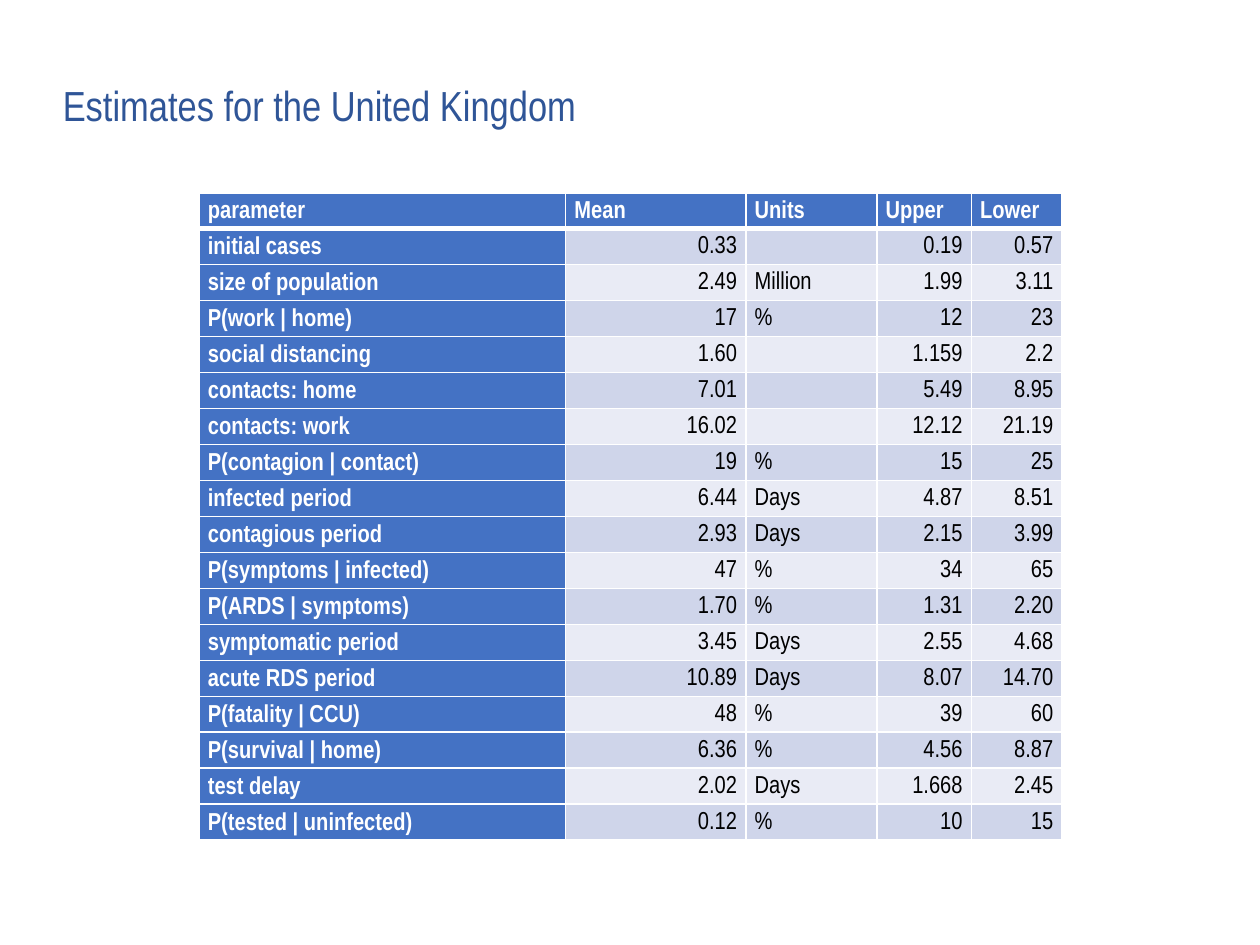
from lxml.etree import SubElement
from pptx import Presentation
from pptx.dml.color import RGBColor
from pptx.enum.text import MSO_ANCHOR, MSO_AUTO_SIZE, PP_ALIGN
from pptx.oxml.ns import qn
from pptx.util import Inches, Pt

TITLE = "Estimates for the United Kingdom"
HEADINGS = ("parameter", "Mean", "Units", "Upper", "Lower")
ESTIMATES = [
    ("initial cases", "0.33", "", "0.19", "0.57"),
    ("size of population", "2.49", "Million", "1.99", "3.11"),
    ("P(work | home)", "17", "%", "12", "23"),
    ("social distancing", "1.60", "", "1.159", "2.2"),
    ("contacts: home", "7.01", "", "5.49", "8.95"),
    ("contacts: work", "16.02", "", "12.12", "21.19"),
    ("P(contagion | contact)", "19", "%", "15", "25"),
    ("infected period", "6.44", "Days", "4.87", "8.51"),
    ("contagious period", "2.93", "Days", "2.15", "3.99"),
    ("P(symptoms | infected)", "47", "%", "34", "65"),
    ("P(ARDS | symptoms)", "1.70", "%", "1.31", "2.20"),
    ("symptomatic period", "3.45", "Days", "2.55", "4.68"),
    ("acute RDS period", "10.89", "Days", "8.07", "14.70"),
    ("P(fatality | CCU)", "48", "%", "39", "60"),
    ("P(survival | home)", "6.36", "%", "4.56", "8.87"),
    ("test delay", "2.02", "Days", "1.668", "2.45"),
    ("P(tested | uninfected)", "0.12", "%", "10", "15"),
]
ROWS = [HEADINGS] + ESTIMATES

FONT = "Arial Narrow"
TITLE_BLUE, HEAD_BLUE, WHITE, BLACK = "2F5597", "4472C4", "FFFFFF", "000000"
BANDS = ("E9EBF5", "CFD5EA")  # even rows, odd rows
COLUMN_WIDTHS = (2.91, 1.43, 1.04, 0.75, 0.72)
TABLE_LEFT, TABLE_TOP, TABLE_HEIGHT = 1.58, 1.53, 5.14
TEXT_SIZE = 14
UNITS_COLUMN = HEADINGS.index("Units")


def rgb(color):
    return RGBColor.from_string(color)


def add_text(paragraph, text, size, color, bold=False):
    run = paragraph.add_run()
    run.text = text
    run.font.name, run.font.size, run.font.bold = FONT, Pt(size), bold
    run.font.color.rgb = rgb(color)


def set_borders(cell, widths):
    """White lines, before the fill as the schema orders them."""
    properties = cell._tc.get_or_add_tcPr()
    for side, width in widths.items():
        line = SubElement(properties, qn(f"a:ln{side}"), w=str(Pt(width)))
        SubElement(SubElement(line, qn("a:solidFill")), qn("a:srgbClr"), val=WHITE)


def fill_cell(cell, text, row, column):
    is_head = row == 0 or column == 0
    set_borders(cell, {"L": 1, "R": 1, "T": 3 if row == 1 else 1, "B": 3 if row == 0 else 1})
    cell.fill.solid()
    cell.fill.fore_color.rgb = rgb(HEAD_BLUE if is_head else BANDS[row % 2])
    cell.margin_left = cell.margin_right = Inches(0.07)
    cell.margin_top = cell.margin_bottom = 0
    cell.vertical_anchor = MSO_ANCHOR.MIDDLE
    paragraph = cell.text_frame.paragraphs[0]
    if not text:  # keeps an empty cell as low as the others
        SubElement(paragraph._p, qn("a:endParaRPr"), sz=str(TEXT_SIZE * 100))
        return
    if is_head:
        paragraph.alignment, paragraph.line_spacing = PP_ALIGN.JUSTIFY, 1.15
    else:
        paragraph.alignment = PP_ALIGN.LEFT if column == UNITS_COLUMN else PP_ALIGN.RIGHT
        paragraph.line_spacing = 1.07
    add_text(paragraph, text, TEXT_SIZE, WHITE if is_head else BLACK, is_head)


presentation = Presentation()
presentation.slide_width, presentation.slide_height = Inches(10), Inches(7.5)
slide = presentation.slides.add_slide(presentation.slide_layouts[6])

# Table of estimates
estimates = slide.shapes.add_table(
    len(ROWS), len(HEADINGS), Inches(TABLE_LEFT), Inches(TABLE_TOP),
    Inches(sum(COLUMN_WIDTHS)), Inches(TABLE_HEIGHT)).table
for column, width in zip(estimates.columns, COLUMN_WIDTHS):
    column.width = Inches(width)
for row, texts in enumerate(ROWS):
    estimates.rows[row].height = Inches(TABLE_HEIGHT / len(ROWS))
    for column, text in enumerate(texts):
        fill_cell(estimates.cell(row, column), text, row, column)

# Title
title = slide.shapes.add_textbox(Inches(0.4), Inches(0.58), Inches(4.45), Inches(0.5))
title.text_frame.word_wrap = True
title.text_frame.auto_size = MSO_AUTO_SIZE.SHAPE_TO_FIT_TEXT
add_text(title.text_frame.paragraphs[0], TITLE, 24, TITLE_BLUE)

presentation.save("out.pptx")
